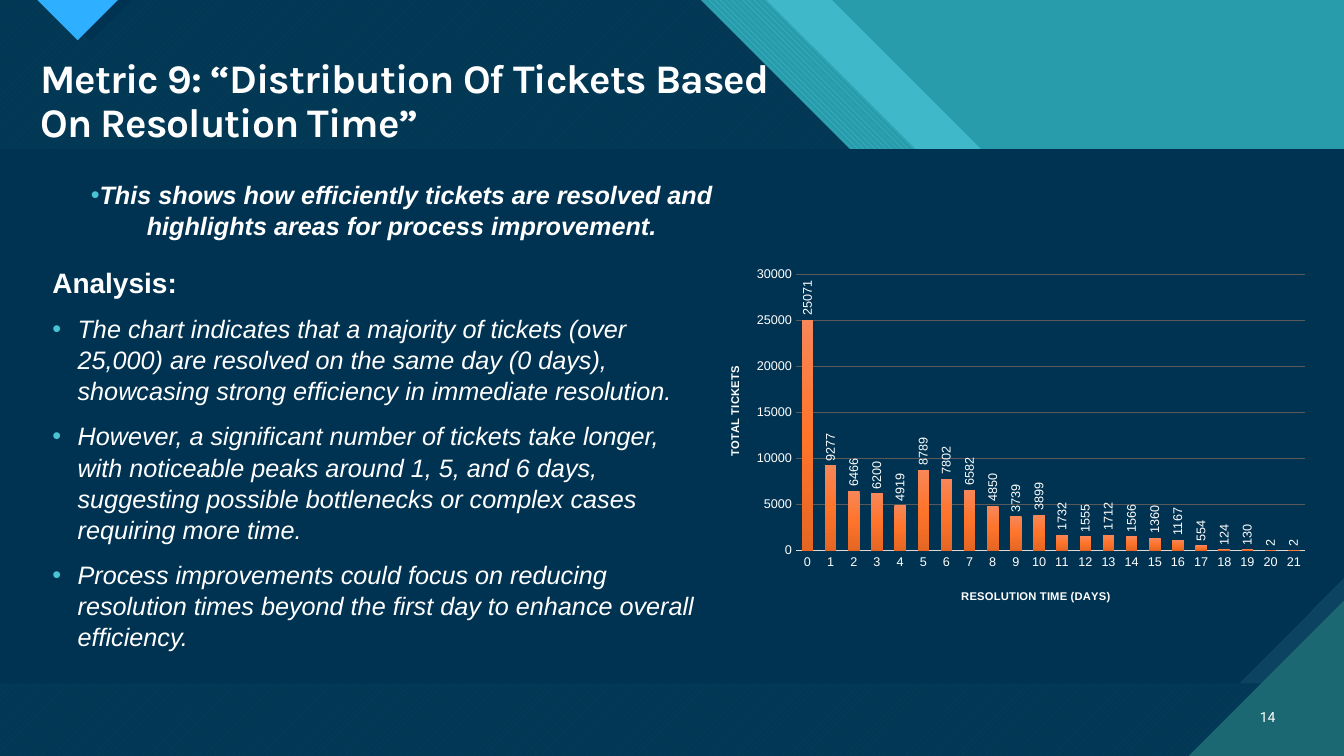
import pptx
import pptx.chart.data
import pptx.dml.color
import pptx.enum.chart
import pptx.enum.dml
import pptx.enum.text
import pptx.oxml
import pptx.oxml.ns
import pptx.util

Inches, Pt = pptx.util.Inches, pptx.util.Pt
qn, nsdecls = pptx.oxml.ns.qn, pptx.oxml.ns.nsdecls
ALIGN, ANCHOR = pptx.enum.text.PP_ALIGN, pptx.enum.text.MSO_ANCHOR

TITLE = "Metric 9: “Distribution Of Tickets Based On Resolution Time”"
INTRO = ["This shows how efficiently tickets are resolved and highlights areas for process improvement."]
HEADING = "Analysis:"
ANALYSIS = [
    "The chart indicates that a majority of tickets (over 25,000) are resolved on the same day (0 days), "
    "showcasing strong efficiency in immediate resolution.",
    "However, a significant number of tickets take longer, with noticeable peaks around 1, 5, and 6 days, "
    "suggesting possible bottlenecks or complex cases requiring more time.",
    "Process improvements could focus on reducing resolution times beyond the first day to enhance "
    "overall efficiency.",
]
PAGE = "14"
TICKETS = [25071, 9277, 6466, 6200, 4919, 8789, 7802, 6582, 4850, 3739, 3899,
           1732, 1555, 1712, 1566, 1360, 1167, 554, 124, 130, 2, 2]
X_TITLE, Y_TITLE = "RESOLUTION TIME (DAYS)", "TOTAL TICKETS"

COLORS = {
    "white": "FFFFFF", "teal": "299CAB", "band": "3FB9C9", "accent": "47C3D3",
    "navy": "003352", "weave": "033855", "weave_line": "07415F", "snip": "0C4360",
    "corner": "1B6872", "blue": "2FAFFF", "axis": "D9D9D9", "grid": "595959",
}
BAR_STOPS = [(0, "F88759"), (50, "FE742B"), (100, "E56623")]
W, H = 13.33, 7.5
PANEL_TOP, PANEL_BOTTOM, SNIP = 1.48, 6.78, 1.04
CORNER = 1.54

# Diagonal bands: top edge x, fill, pattern, pattern line colour
PATTERN = pptx.enum.dml.MSO_PATTERN
BANDS = [
    (8.25, "band", None, None),
    (7.6, "teal", PATTERN.WIDE_DOWNWARD_DIAGONAL, "accent"),
    (6.95, "weave", PATTERN.WIDE_UPWARD_DIAGONAL, "weave_line"),
]


def rgb(name):
    return pptx.dml.color.RGBColor.from_string(COLORS[name])


def add_polygon(s, points, color, pattern=None, line_color=None):
    builder = s.shapes.build_freeform(*map(Inches, points[0]), scale=1.0)
    builder.add_line_segments([(Inches(x), Inches(y)) for x, y in points[1:]], close=True)
    sp = builder.convert_to_shape()
    sp.shadow.inherit = False
    sp.line.fill.background()
    if pattern:
        sp.fill.patterned()
        sp.fill.pattern = pattern
        sp.fill.fore_color.rgb, sp.fill.back_color.rgb = rgb(line_color), rgb(color)
    else:
        sp.fill.solid()
        sp.fill.fore_color.rgb = rgb(color)


def place(sp, left, top, width, height):
    """Position a placeholder and bring it in front of the backdrop."""
    sp.left, sp.top, sp.width, sp.height = map(Inches, (left, top, width, height))
    sp.element.getparent().append(sp.element)


def set_font(font, size, name="Arial", color="white", bold=False, italic=False):
    font.size, font.name, font.bold, font.italic = Pt(size), name, bold, italic
    font.color.rgb = rgb(color)


def fill_text(tf, lines, size, align=ALIGN.LEFT, spacing=1.0, before=0, anchor=ANCHOR.TOP, **style):
    tf.word_wrap = True
    tf.auto_size = pptx.enum.text.MSO_AUTO_SIZE.NONE
    tf.vertical_anchor = anchor
    tf.text = "\n".join(lines)
    for p in tf.paragraphs:
        p.alignment, p.line_spacing, p.space_before = align, spacing, Pt(before)
        set_font(p.font, size, **style)


def add_bullets(tf, indent):
    for p in tf.paragraphs:
        pPr = p._p.get_or_add_pPr()
        pPr.set("marL", str(Inches(indent)))
        pPr.set("indent", str(-Inches(indent)))
        bullet = [f'<a:buClr {nsdecls("a")}><a:srgbClr val="{COLORS["accent"]}"/></a:buClr>',
                  f'<a:buFont {nsdecls("a")} typeface="Arial"/>',
                  f'<a:buChar {nsdecls("a")} char="•"/>']
        spacing_end = pPr.index(pPr.find(qn("a:spcBef"))) + 1
        for i, xml in enumerate(bullet):
            pPr.insert(spacing_end + i, pptx.oxml.parse_xml(xml))


def set_layout(parent, index, **values):
    """Give a chart part a manual layout, as fractions of the chart."""
    for old in parent.findall(qn("c:layout")):
        parent.remove(old)
    tags = "".join(f'<c:{tag} val="{value}"/>' for tag, value in values.items())
    parent.insert(index, pptx.oxml.parse_xml(
        f'<c:layout {nsdecls("c")}><c:manualLayout>{tags}</c:manualLayout></c:layout>'))


def turn_upright(element):
    for body in element.iter(qn("a:bodyPr")):
        body.set("rot", "-5400000")
        body.set("vert", "horz")


def add_backdrop(s):
    s.background.fill.solid()
    s.background.fill.fore_color.rgb = rgb("teal")
    for x, *look in BANDS:
        add_polygon(s, [(0, 0), (x, 0), (W, W - x), (W, H), (0, H)], *look)
    add_polygon(s, [(0.48, 0), (1.31, 0), (0.9, 0.41)], "navy")
    add_polygon(s, [(0.37, 0), (1.17, 0), (0.77, 0.4)], "blue")
    add_polygon(s, [(W, PANEL_BOTTOM - SNIP), (W, PANEL_BOTTOM), (W - SNIP, PANEL_BOTTOM)], "snip")
    add_polygon(s, [(0, PANEL_TOP), (W, PANEL_TOP), (W, PANEL_BOTTOM - SNIP),
                    (W - SNIP, PANEL_BOTTOM), (0, PANEL_BOTTOM)], "navy")
    add_polygon(s, [(W - CORNER, H), (W, H), (W, H - CORNER)], "corner")


def add_ticket_chart(s):
    data = pptx.chart.data.CategoryChartData()
    data.categories = [str(day) for day in range(len(TICKETS))]
    data.add_series("Series 1", TICKETS)
    chart = s.shapes.add_chart(
        pptx.enum.chart.XL_CHART_TYPE.COLUMN_CLUSTERED,
        *map(Inches, (6.99, 2.57, 6.11, 3.46)), data).chart
    chart.has_title = chart.has_legend = False
    set_font(chart.font, 9)

    x_axis, y_axis = chart.category_axis, chart.value_axis
    for axis, title, x, y in ((x_axis, X_TITLE, 0.413, 0.94), (y_axis, Y_TITLE, 0.033, 0.3)):
        axis.major_tick_mark = axis.minor_tick_mark = pptx.enum.chart.XL_TICK_MARK.NONE
        set_font(axis.tick_labels.font, 9)
        tf = axis.axis_title.text_frame
        tf.text = title
        set_font(tf.paragraphs[0].font, 8, bold=True)
        set_layout(axis.axis_title._element, 1, xMode="edge", yMode="edge", x=x, y=y)
    turn_upright(y_axis.axis_title._element)
    x_axis.has_major_gridlines = False
    x_axis.format.line.color.rgb, x_axis.format.line.width = rgb("axis"), Pt(1)
    y_axis.format.line.fill.background()
    y_axis.minimum_scale, y_axis.maximum_scale, y_axis.major_unit = 0, 30000, 5000
    grid = y_axis.major_gridlines.format.line
    grid.color.rgb, grid.width = rgb("grid"), Pt(0.75)

    plot = chart.plots[0]
    plot.gap_width, plot.overlap, plot.vary_by_categories = 100, -24, False
    series = plot.series[0]
    labels = series.data_labels
    labels.show_value = True
    labels.position = pptx.enum.chart.XL_LABEL_POSITION.OUTSIDE_END
    set_font(labels.font, 9)
    turn_upright(labels._element)

    series.format.fill.solid()
    stops = "".join(f'<a:gs pos="{pos * 1000}"><a:srgbClr val="{color}"/></a:gs>' for pos, color in BAR_STOPS)
    spPr = series._element.find(qn("c:spPr"))
    spPr.replace(spPr.find(qn("a:solidFill")), pptx.oxml.parse_xml(
        f'<a:gradFill {nsdecls("a")}><a:gsLst>{stops}</a:gsLst><a:lin ang="5400000" scaled="0"/></a:gradFill>'))
    set_layout(next(chart._chartSpace.iter(qn("c:plotArea"))), 0, layoutTarget="inner",
               xMode="edge", yMode="edge", x=0.148, y=0.044, w=0.827, h=0.792)


def main():
    prs = pptx.Presentation()
    prs.slide_width, prs.slide_height = Inches(W), Inches(H)
    s = prs.slides.add_slide(prs.slide_layouts[3])
    add_backdrop(s)

    title, intro, analysis = s.shapes.title, s.placeholders[1], s.placeholders[2]
    place(title, 0.3, 0.53, 7.64, 0.98)
    fill_text(title.text_frame, [TITLE], 29, spacing=0.9, name="Karla", bold=True)
    title.text_frame.paragraphs[0].runs[0].font._element.set("spc", "-70")

    place(intro, 0.42, 1.72, 7.13, 0.85)
    fill_text(intro.text_frame, INTRO, 18, ALIGN.CENTER, 1.03, 10, bold=True, italic=True)
    add_bullets(intro.text_frame, 0)

    add_ticket_chart(s)

    heading = s.shapes.add_textbox(*map(Inches, (0.42, 2.62, 1.51, 0.53)))
    fill_text(heading.text_frame, [HEADING], 20, spacing=0.9, before=10, bold=True)

    place(analysis, 0.42, 3.05, 6.57, 3.69)
    fill_text(analysis.text_frame, ANALYSIS, 18, spacing=1.03, before=10, italic=True)
    add_bullets(analysis.text_frame, 0.25)

    page = s.shapes.add_textbox(*map(Inches, (12.31, 6.91, 0.44, 0.4)))
    fill_text(page.text_frame, [PAGE], 10, ALIGN.RIGHT, anchor=ANCHOR.MIDDLE, name="Roboto")
    prs.save("out.pptx")


if __name__ == "__main__":
    main()
